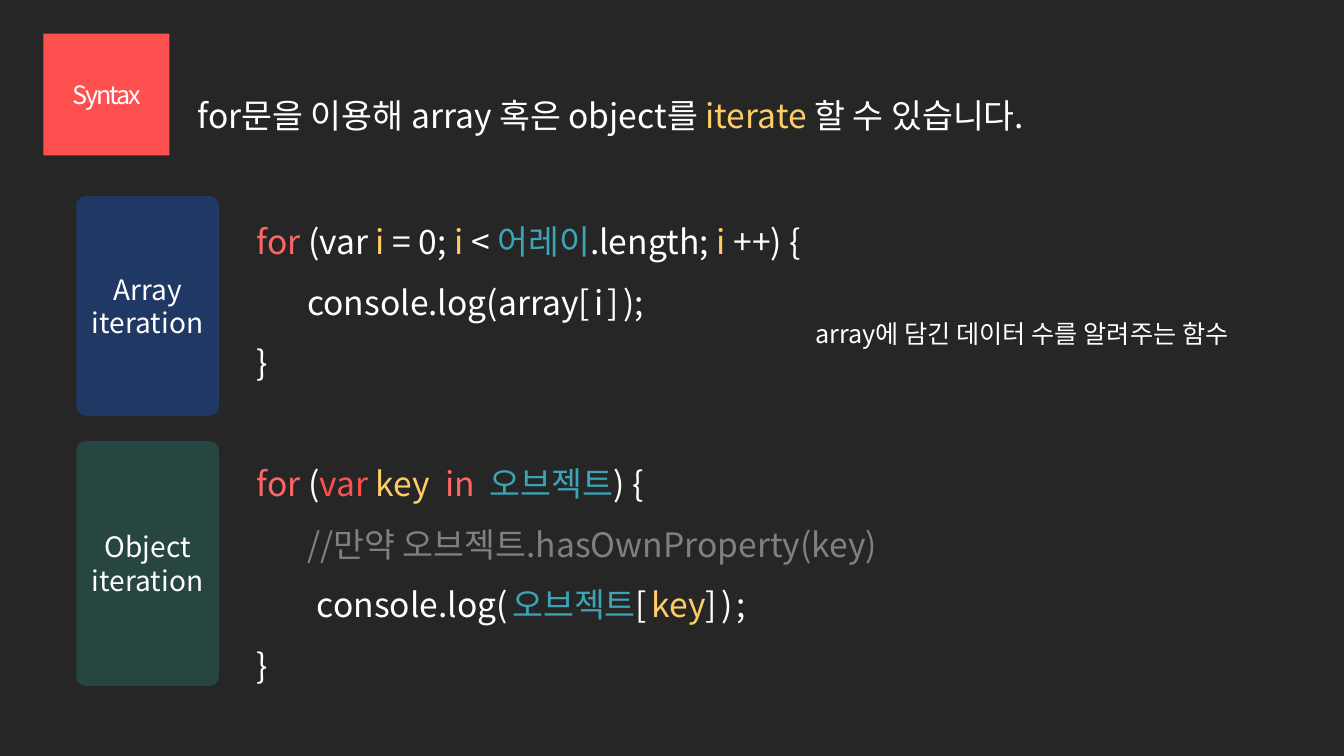
from dataclasses import dataclass

from lxml import etree
from pptx import Presentation
from pptx.dml.color import RGBColor
from pptx.enum.shapes import MSO_SHAPE
from pptx.enum.text import MSO_ANCHOR, MSO_AUTO_SIZE, PP_ALIGN
from pptx.oxml.ns import qn
from pptx.util import Pt

ROUND = MSO_SHAPE.ROUNDED_RECTANGLE
TOP, MIDDLE = MSO_ANCHOR.TOP, MSO_ANCHOR.MIDDLE
LEFT, CENTER = PP_ALIGN.LEFT, PP_ALIGN.CENTER
FIXED = MSO_AUTO_SIZE.NONE


@dataclass(frozen=True)
class Theme:
    font: str = "Noto Sans CJK KR"
    back: str = "262626"
    white: str = "FFFFFF"
    red: str = "FF5050"
    rose: str = "FF6565"
    gold: str = "FFCC66"
    teal: str = "3DA4B5"
    gray: str = "808080"
    navy: str = "203864"
    green: str = "274541"
    large: int = 24
    label: int = 20
    small: int = 18
    wide: int = 3
    tight: float = -1.5


T = Theme()

ARRAY = [
    [("for ", T.rose), ("(var ", T.white), ("i", T.gold), (" = 0; ", T.white),
     ("i", T.gold), (" < ", T.white), ("어레이", T.teal),
     (".length; ", T.white), ("i", T.gold), (" ++) {", T.white)],
    [("\tconsole.log(array", T.white), ("[i]", T.white, T.wide),
     (");", T.white)],
    [("}", T.white)],
]
OBJECT = [
    [("for", T.rose), (" (", T.white), ("var ", T.red), ("key  ", T.gold),
     ("in  ", T.rose), ("오브젝트", T.teal), (") {", T.white)],
    [("\t", T.white), ("//만약 오브젝트.hasOwnProperty(key)", T.gray)],
    [("        console.log", T.white), ("(", T.white, T.wide),
     ("오브젝트", T.teal), ("[", T.white, T.wide), ("key", T.gold),
     ("]);", T.white, T.wide)],
    [("}", T.white)],
]
HEAD = [("for문을 이용해 array 혹은 object를 ", T.white),
        ("iterate ", T.gold), ("할 수 있습니다.", T.white)]


def place(shape, box):
    shape.left, shape.top, shape.width, shape.height = map(Pt, box)


def style(run, size, color, space=0):
    font = run.font
    font.size = Pt(size)
    font.name = T.font
    font.color.rgb = RGBColor.from_string(color)
    props = run._r.get_or_add_rPr()
    etree.SubElement(props, qn("a:ea")).set("typeface", T.font)
    if space:
        props.set("spc", str(int(space * 100)))


def write(frame, lines, size, align=LEFT, pitch=1.0):
    for row, line in enumerate(lines):
        para = frame.add_paragraph() if row else frame.paragraphs[0]
        para.alignment = align
        para.line_spacing = pitch
        for text, *look in line:
            run = para.add_run()
            run.text = text
            style(run, size, *look)


def text_box(slide, box):
    shape = slide.shapes.add_textbox(*map(Pt, box))
    shape.text_frame.word_wrap = True
    return shape.text_frame


def add_title(slide, box):
    title = slide.shapes.title
    place(title, box)
    frame = title.text_frame
    frame.auto_size = FIXED
    frame.vertical_anchor = TOP
    write(frame, [HEAD], T.large, pitch=1.5)


def add_card(slide, box, words, fill, size, curve=0.067, space=0):
    card = slide.shapes.add_shape(ROUND, *map(Pt, box))
    card.adjustments[0] = curve
    card.shadow.inherit = False
    card.fill.solid()
    card.fill.fore_color.rgb = RGBColor.from_string(fill)
    card.line.fill.background()
    frame = card.text_frame
    frame.vertical_anchor = MIDDLE
    lines = [[(word, T.white, space)] for word in words]
    write(frame, lines, size, CENTER)


def add_code(slide, box):
    frame = text_box(slide, box)
    write(frame, ARRAY + OBJECT, T.large, pitch=1.5)
    frame.paragraphs[len(ARRAY)].space_before = Pt(43.2)


def add_note(slide, box):
    note = [("array에 담긴 데이터 수를 알려주는 함수", T.white)]
    write(text_box(slide, box), [note], T.small)


def main():
    deck = Presentation()
    deck.slide_width, deck.slide_height = Pt(960), Pt(540)
    slide = deck.slides.add_slide(deck.slide_layouts[5])
    slide.background.fill.solid()
    slide.background.fill.fore_color.rgb = RGBColor.from_string(T.back)

    add_title(slide, (134, 49.7, 736, 70))
    add_card(slide, (54.5, 140, 102, 157), ("Array", "iteration"),
             T.navy, T.label)
    add_code(slide, (176.4, 140, 634, 356))
    add_card(slide, (54.5, 315, 102, 175), ("Object", "iteration"),
             T.green, T.label)
    add_note(slide, (575.3, 224, 313, 29))
    add_card(slide, (31, 24, 90, 87), ("Syntax",), T.red, T.small,
             0, T.tight)
    deck.save("out.pptx")


if __name__ == "__main__":
    main()
